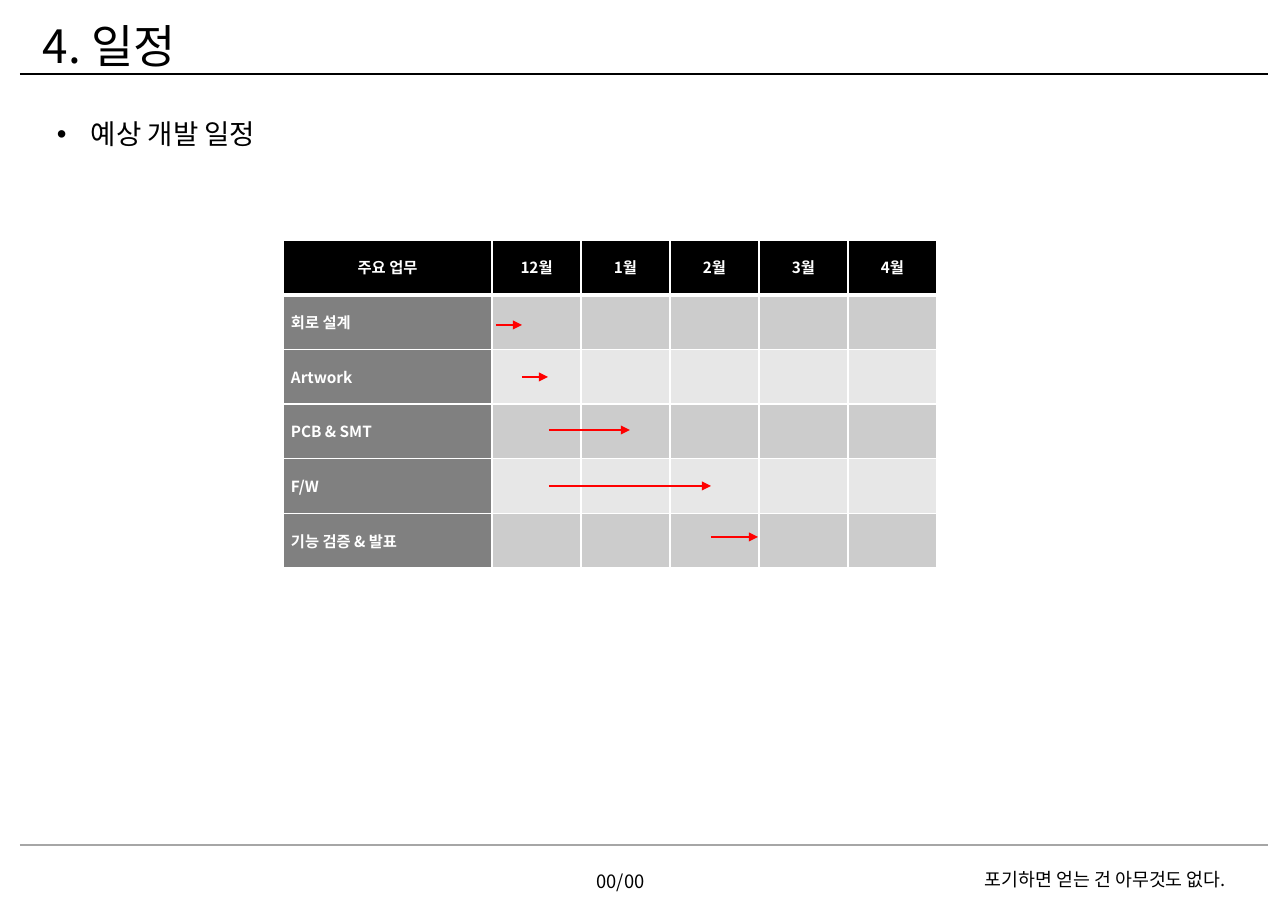
from lxml import etree
from pptx import Presentation
from pptx import util as u
from pptx.dml.color import RGBColor
from pptx.enum import shapes, text
from pptx.oxml import ns

PX = 914400 / 110.2
FONT = "Noto Sans CJK KR"
COLORS = {"ink": "000000", "paper": "FFFFFF", "rule": "A6A6A6", "task": "808080",
          "odd": "CCCCCC", "even": "E7E7E7", "arrow": "FF0000"}


def add_run(paragraph, words, size, color="ink", bold=False):
    run = paragraph.add_run()
    run.text = words
    run.font.size = u.Pt(size)
    run.font.bold = bold
    run.font.name = FONT
    run.font.color.rgb = RGBColor.from_string(COLORS[color])
    etree.SubElement(run.font._element, ns.qn("a:ea"), typeface=FONT)


def add_line(x1, x2, y, color, width):
    line = slide.shapes.add_connector(
        shapes.MSO_CONNECTOR.STRAIGHT, *(round(v * PX) for v in (x1, y, x2, y)))
    line.line.color.rgb = RGBColor.from_string(COLORS[color])
    line.line.width = u.Pt(width)
    etree.SubElement(line._element.spPr, ns.qn("a:effectLst"))
    return line


prs = Presentation()
prs.slide_width, prs.slide_height = round(1288 * PX), round(911 * PX)
slide = prs.slides.add_slide(prs.slide_layouts[6])

# Header and footer rules
add_line(20, 1268, 74, "ink", 1.5)
add_line(20, 1268, 845, "rule", 1.5)

# Title, subject, page number and motto
LEFT, CENTER = text.PP_ALIGN.LEFT, text.PP_ALIGN.CENTER
for words, size, align, bullet, box in [
    ("포기하면 얻는 건 아무것도 없다.", 12, LEFT, False, (974, 863, 294, 33)),
    ("4. 일정", 30, LEFT, False, (32, 12, 561, 67)),
    ("00/00", 12, CENTER, False, (563, 865, 115, 33)),
    ("예상 개발 일정", 18, LEFT, True, (46, 112, 1195, 44)),
]:
    frame = slide.shapes.add_textbox(*(round(v * PX) for v in box)).text_frame
    frame.word_wrap = True
    frame.auto_size = text.MSO_AUTO_SIZE.SHAPE_TO_FIT_TEXT
    paragraph = frame.paragraphs[0]
    paragraph.alignment = align
    add_run(paragraph, words, size)
    if bullet:
        props = paragraph._p.get_or_add_pPr()
        props.set("marL", str(round(34 * PX)))
        props.set("indent", str(round(-34 * PX)))
        etree.SubElement(props, ns.qn("a:buFont"), typeface="Arial")
        etree.SubElement(props, ns.qn("a:buChar"), char="•")

# Schedule table
header = ["주요 업무", "12월", "1월", "2월", "3월", "4월"]
tasks = ["회로 설계", "Artwork", "PCB & SMT", "F/W", "기능 검증 & 발표"]
schedule = slide.shapes.add_table(
    len(tasks) + 1, len(header), *(round(v * PX) for v in (283, 240, 654, 328))).table
schedule.first_row = schedule.horz_banding = False
for c, column in enumerate(schedule.columns):
    column.width = round((89 if c else 209) * PX)

for r, row in enumerate(schedule.rows):
    row.height = round(328 * PX / 6)
    for c, cell in enumerate(row.cells):
        borders = cell._tc.get_or_add_tcPr()
        for side in "LRTB":
            thick = (r, side) in [(0, "B"), (1, "T")]
            border = etree.SubElement(borders, ns.qn(f"a:ln{side}"),
                                      w=str(u.Pt(3 if thick else 1)))
            fill = etree.SubElement(border, ns.qn("a:solidFill"))
            etree.SubElement(fill, ns.qn("a:srgbClr"), val=COLORS["paper"])
        shade = "ink" if r == 0 else "task" if c == 0 else "odd" if r % 2 else "even"
        cell.fill.solid()
        cell.fill.fore_color.rgb = RGBColor.from_string(COLORS[shade])
        if r and c:
            continue
        cell.vertical_anchor = text.MSO_ANCHOR.MIDDLE
        cell.margin_left = cell.margin_right = round(8 * PX)
        cell.margin_top = cell.margin_bottom = 0
        paragraph = cell.text_frame.paragraphs[0]
        paragraph.alignment = text.PP_ALIGN.JUSTIFY if r else CENTER
        add_run(paragraph, tasks[r - 1] if r else header[c], 10, "paper", True)

# Period of each task
for start, end, y in [(496, 522, 325), (522, 548, 377), (549, 630, 430),
                      (549, 711, 486), (711, 758, 537)]:
    period = add_line(start, end, y, "arrow", 1)
    etree.SubElement(period.line._get_or_add_ln(), ns.qn("a:tailEnd"), type="triangle")

prs.save("out.pptx")
